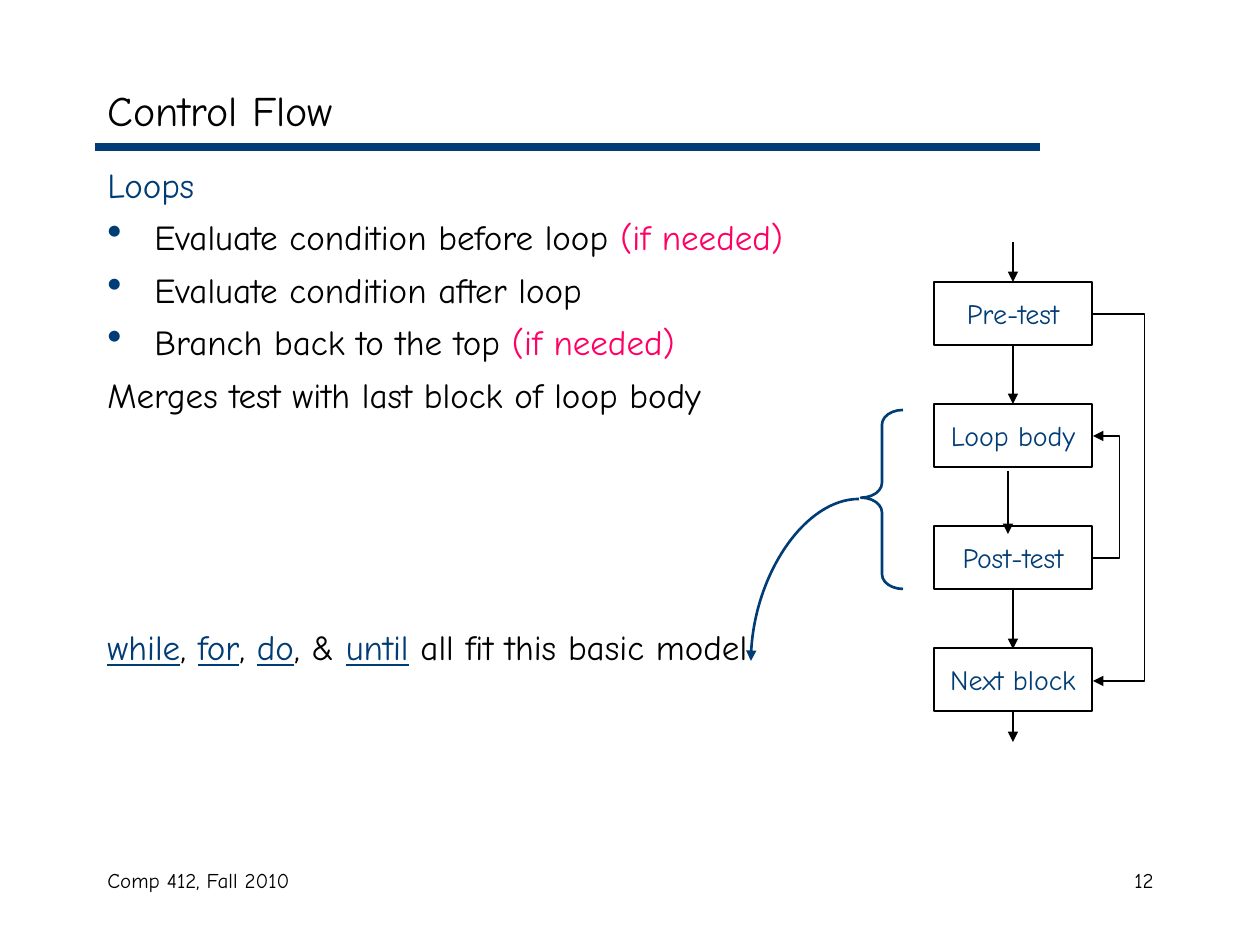
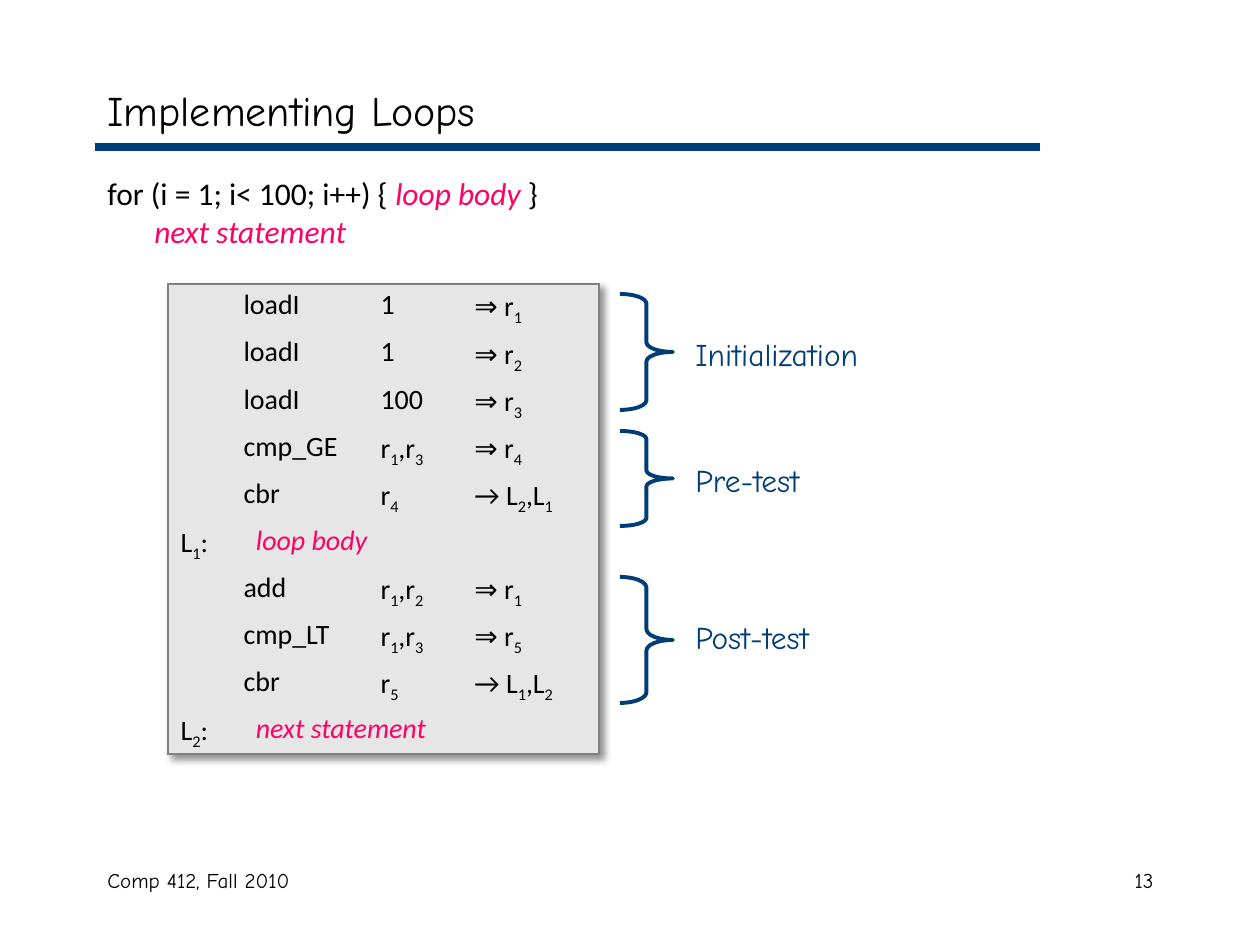
from lxml import etree
from pptx import Presentation
from pptx.dml.color import RGBColor
from pptx.enum import shapes, text
from pptx.oxml.ns import qn
from pptx.util import Pt

PX = 7257
NAVY, BLACK, PINK, PALE, GREY = "003C75", "000000", "FF0065", "E6E6E6", "808080"
HAND, CODE = "Comic Neue", "Calibri"
rgb = RGBColor.from_string


def write(frame, paragraphs, size, font=HAND, align=text.PP_ALIGN.LEFT):
    frame.word_wrap = True
    for number, runs in enumerate(paragraphs):
        paragraph = frame.add_paragraph() if number else frame.paragraphs[0]
        paragraph.alignment = align
        for wording, colour, style in runs:
            run = paragraph.add_run()
            run.text = wording
            run.font.name = font
            run.font.size = Pt(size)
            run.font.color.rgb = rgb(colour)
            if style == "underline":
                run.font.underline = True
            elif style == "italic":
                run.font.italic = True
            elif style == "sub":
                run.font._element.set("baseline", "-25000")
    return frame


def stroke(shape, colour, width, arrow=False):
    shape.line.color.rgb = rgb(colour)
    shape.line.width = Pt(width)
    if arrow:
        etree.SubElement(shape.line._get_or_add_ln(), qn("a:tailEnd"), type="triangle")
    etree.SubElement(shape._element.spPr, qn("a:effectLst"))


deck = Presentation()
deck.slide_width, deck.slide_height = 1260 * PX, 945 * PX

slides = []
for number, heading in enumerate(["Control Flow", "Implementing Loops"], 12):
    slide = deck.slides.add_slide(deck.slide_layouts[6])
    slides.append(slide.shapes)
    rule = slide.shapes.add_connector(
        shapes.MSO_CONNECTOR.STRAIGHT, 95 * PX, 147 * PX, 1040 * PX, 147 * PX)
    stroke(rule, NAVY, 4.5)
    for place, wording, size, align in [
        ((95, 861, 399, 63), "Comp 412, Fall 2010", 12, text.PP_ALIGN.LEFT),
        ((903, 861, 263, 63), str(number), 12, text.PP_ALIGN.RIGHT),
        ((95, 73, 1071, 73), heading, 24, text.PP_ALIGN.LEFT),
    ]:
        frame = slide.shapes.add_textbox(*[v * PX for v in place]).text_frame
        write(frame, [[(wording, BLACK, "")]], size, align=align)
    frame.vertical_anchor = text.MSO_ANCHOR.MIDDLE

flow, loops = slides

keywords = []
for keyword, joint in [("while", ", "), ("for", ", "), ("do", ", & "), ("until", " ")]:
    keywords += [(keyword, NAVY, "underline"), (joint, BLACK, "")]
points = [
    [("Loops", NAVY, "")],
    [("Evaluate condition before loop ", BLACK, ""), ("(if needed)", PINK, "")],
    [("Evaluate condition after loop", BLACK, "")],
    [("Branch back to the top ", BLACK, ""), ("(if needed)", PINK, "")],
    [("Merges test with last block of loop body", BLACK, "")],
    keywords + [("all fit this basic model", BLACK, "")],
]
body = flow.add_textbox(95 * PX, 157 * PX, 1071 * PX, 683 * PX).text_frame
write(body, points, 20)
for number, point in enumerate(body.paragraphs):
    props = point._p.get_or_add_pPr()
    props.set("marL", str(47 * PX))
    props.set("indent", str(-47 * PX))
    if 1 <= number <= 3:
        bullet_colour = etree.SubElement(props, qn("a:buClr"))
        etree.SubElement(bullet_colour, qn("a:srgbClr"), val=NAVY)
        etree.SubElement(props, qn("a:buSzPct"), val="120000")
        etree.SubElement(props, qn("a:buChar"), char="•")
    if number:
        point.space_before = Pt(120 if number == 5 else 6)

for x, top, bottom in [(1013, 242, 282), (1013, 345, 404), (1008, 471, 534),
                       (1013, 590, 649), (1013, 712, 742)]:
    step = flow.add_connector(
        shapes.MSO_CONNECTOR.STRAIGHT, x * PX, top * PX, x * PX, bottom * PX)
    stroke(step, BLACK, 0.75, arrow=True)

for start, end, reach in [(558, 436, 28), (314, 681, 53)]:
    branch = flow.add_connector(
        shapes.MSO_CONNECTOR.ELBOW, 1092 * PX, start * PX, 1093 * PX, end * PX)
    stroke(branch, BLACK, 0.75, arrow=True)
    guides = branch._element.spPr.find(qn("a:prstGeom")).get_or_add_avLst()
    etree.SubElement(guides, qn("a:gd"), name="adj1", fmla=f"val {reach * 100000}")

for row, stage in enumerate(["Pre-test", "Loop body", "Post-test", "Next block"]):
    block = flow.add_shape(shapes.MSO_SHAPE.RECTANGLE,
                           934 * PX, (282 + 122 * row) * PX, 158 * PX, 63 * PX)
    block.fill.background()
    stroke(block, BLACK, 1)
    write(block.text_frame, [[(stage, NAVY, "")]], 16, align=text.PP_ALIGN.CENTER)
    block.text_frame.vertical_anchor = text.MSO_ANCHOR.MIDDLE
    block.text_frame.word_wrap = False

merge = flow.add_connector(
    shapes.MSO_CONNECTOR.CURVE, 859 * PX, 499 * PX, 751 * PX, 661 * PX)
merge._element.spPr.find(qn("a:prstGeom")).set("prst", "curvedConnector2")
stroke(merge, NAVY, 1.5, arrow=True)

LEFT, RIGHT = shapes.MSO_SHAPE.LEFT_BRACE, shapes.MSO_SHAPE.RIGHT_BRACE
for page, kind, place, curl, tip, width in [
    (flow, LEFT, (861, 410, 42, 179), 0.35, 0.49, 1.5),
    (loops, RIGHT, (620, 294, 53, 116), 0.18, 0.5, 2.25),
    (loops, RIGHT, (620, 431, 53, 95), 0.15, 0.5, 2.25),
    (loops, RIGHT, (620, 577, 53, 126), 0.2, 0.5, 2.25),
]:
    brace = page.add_shape(kind, *[v * PX for v in place])
    brace.adjustments[0], brace.adjustments[1] = curl, tip
    brace.fill.background()
    stroke(brace, NAVY, width)

for top, phase in [(329, "Initialization"), (455, "Pre-test"), (612, "Post-test")]:
    label = loops.add_textbox(683 * PX, top * PX, 242 * PX, 50 * PX)
    write(label.text_frame, [[(phase, NAVY, "")]], 18)

statement = loops.add_textbox(95 * PX, 168 * PX, 1071 * PX, 620 * PX).text_frame
write(statement, [
    [("for (i = 1; i< 100; i++) { ", BLACK, ""), ("loop body ", PINK, "italic"),
     ("}", BLACK, "")],
    [("next statement", PINK, "italic")],
], 18, CODE)
statement.paragraphs[1]._p.get_or_add_pPr().set("marL", str(47 * PX))

listing = [
    ("", "loadI", "1", "⇒ r~1"),
    ("", "loadI", "1", "⇒ r~2"),
    ("", "loadI", "100", "⇒ r~3"),
    ("", "cmp_GE", "r~1,r~3", "⇒ r~4"),
    ("", "cbr", "r~4", "→ L~2,L~1"),
    ("L~1:", "loop body", "", ""),
    ("", "add", "r~1,r~2", "⇒ r~1"),
    ("", "cmp_LT", "r~1,r~3", "⇒ r~5"),
    ("", "cbr", "r~5", "→ L~1,L~2"),
    ("L~2:", "next statement", "", ""),
]
assembly = loops.add_table(10, 4, 168 * PX, 284 * PX, 431 * PX, 470 * PX).table
assembly.first_row = assembly.horz_banding = False
table_props = assembly._tbl.tblPr
table_props.find(qn("a:tableStyleId")).text = "{2D5ABB26-0587-4C30-8999-92F81FD0307C}"
effects = etree.Element(qn("a:effectLst"))
shadow = etree.SubElement(effects, qn("a:outerShdw"), blurRad="50800", dist="38100",
                          dir="2700000", algn="tl", rotWithShape="0")
shade = etree.SubElement(shadow, qn("a:srgbClr"), val=BLACK)
etree.SubElement(shade, qn("a:alpha"), val="43000")
table_props.insert(0, effects)
for column, width in zip(assembly.columns, (63, 137, 94, 137)):
    column.width = width * PX

for row, words in enumerate(listing):
    assembly.rows[row].height = 47 * PX
    target = bool(words[0])
    if target:
        assembly.cell(row, 1).merge(assembly.cell(row, 3))
    for col, wording in enumerate(words):
        cell = assembly.cell(row, col)
        spanning = target and col == 1
        first, *rest = wording.split("~")
        runs = [(first, PINK, "italic") if spanning else (first, BLACK, "")]
        for part in rest:
            runs += [(part[0], BLACK, "sub"), (part[1:], BLACK, "")]
        write(cell.text_frame, [[run for run in runs if run[0]]], 16, CODE)
        line = cell.text_frame.paragraphs[0]
        line.line_spacing = 0.9
        if not wording:
            etree.SubElement(line._p, qn("a:endParaRPr"), sz="1600")
        if spanning:
            cell.margin_left = 25 * PX
        cell.fill.solid()
        cell.fill.fore_color.rgb = rgb(PALE)
        sides = [("a:lnL", col == 0), ("a:lnR", col == 3 or spanning),
                 ("a:lnT", row == 0), ("a:lnB", row == 9)]
        edges = [side for side, outer in sides if outer]
        for position, side in enumerate(edges):
            edge = etree.Element(qn(side), w=str(Pt(1.5)))
            ink = etree.SubElement(edge, qn("a:solidFill"))
            etree.SubElement(ink, qn("a:srgbClr"), val=GREY)
            cell._tc.get_or_add_tcPr().insert(position, edge)

deck.save("out.pptx")
